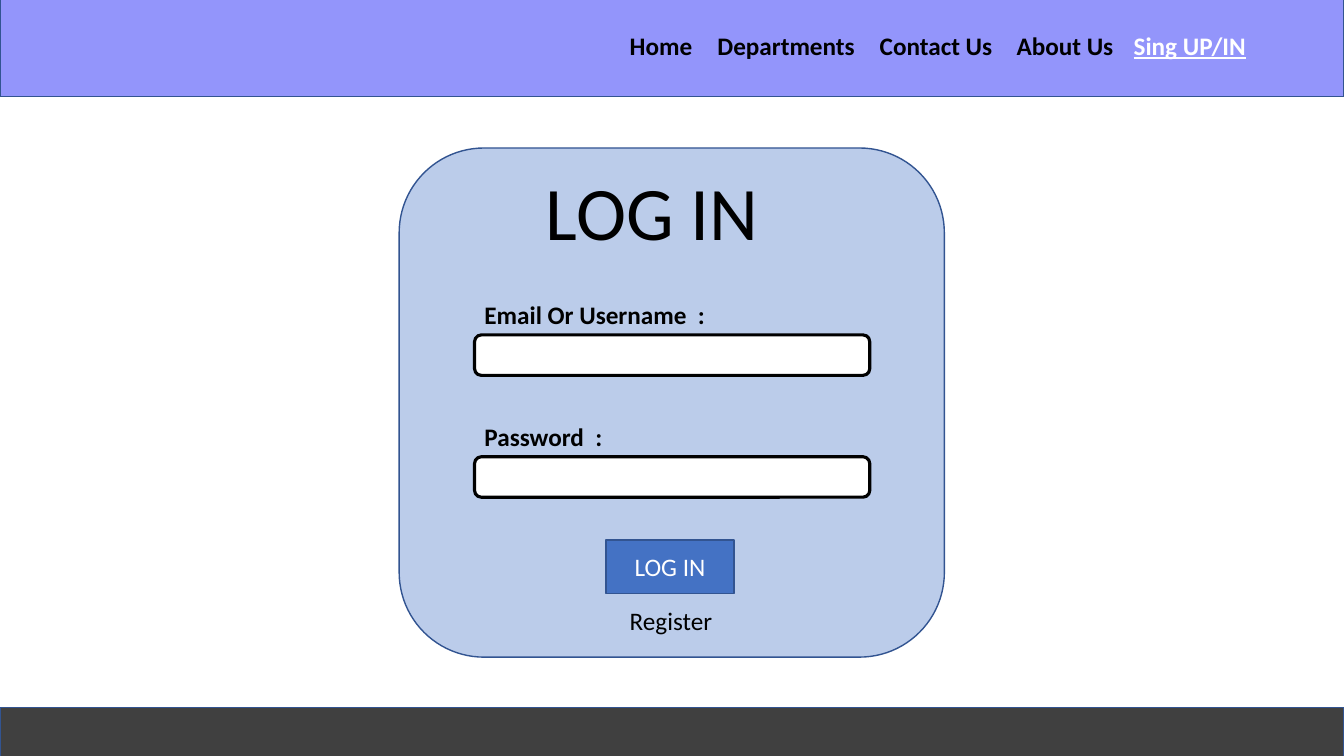
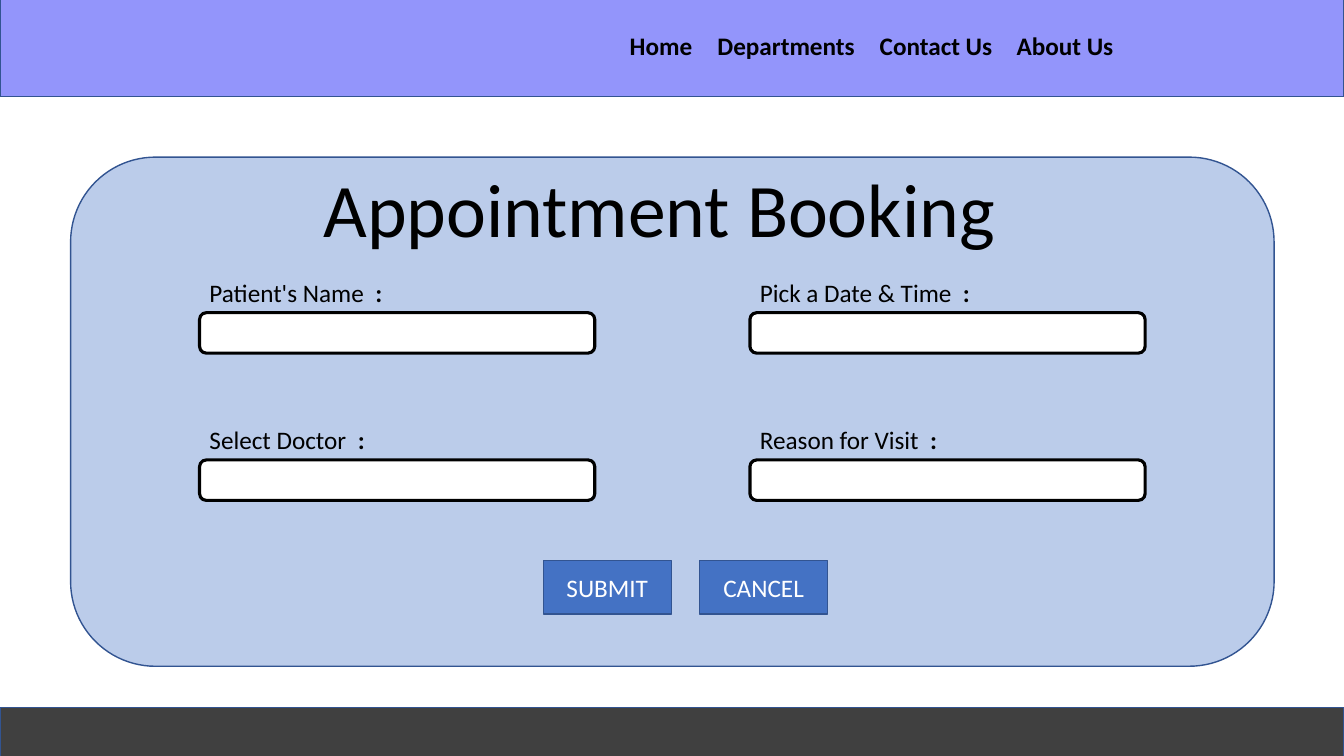
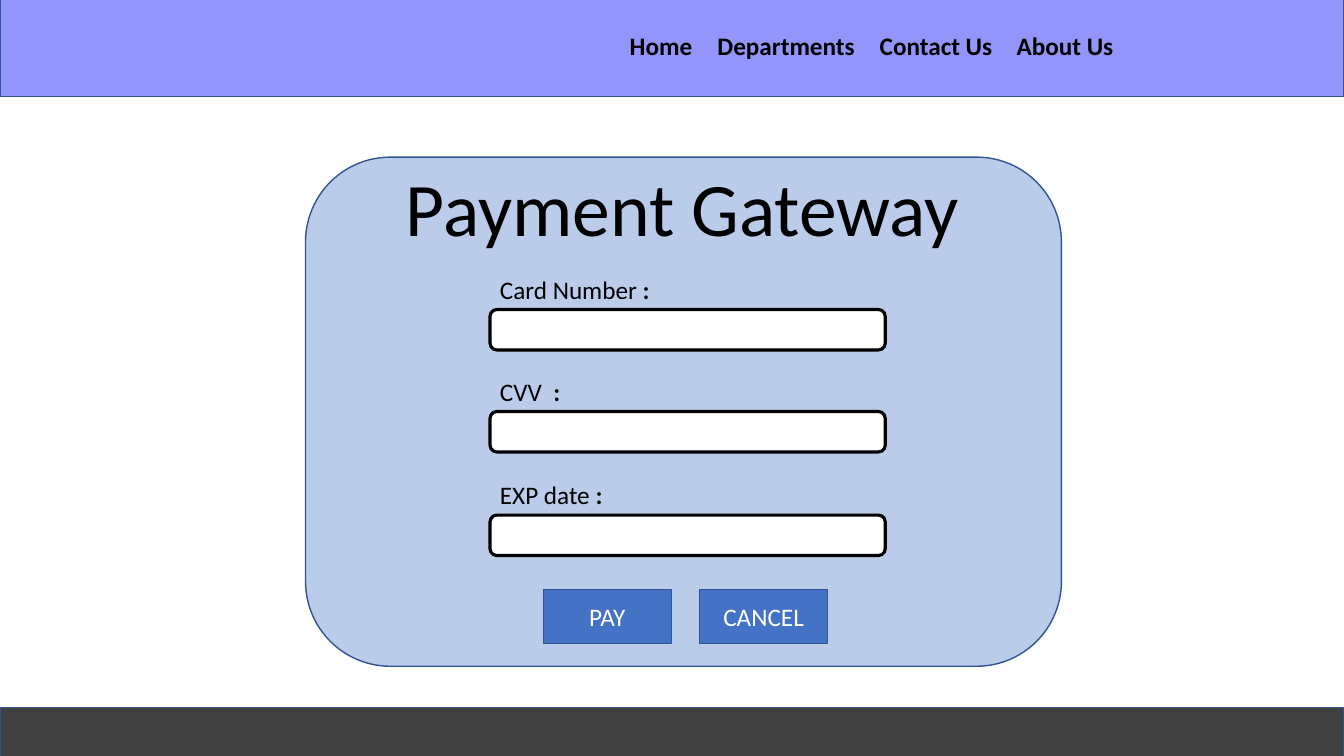
import pptx
import pptx.util
import pptx.dml.color
import pptx.enum.shapes
import pptx.enum.text
import pptx.oxml
import pptx.oxml.ns

Cm = pptx.util.Cm
RGBColor = pptx.dml.color.RGBColor
KIND = pptx.enum.shapes.MSO_SHAPE
ALIGN = pptx.enum.text.PP_ALIGN

# Shared look
LILAC = RGBColor(0x93, 0x95, 0xFB)
SKY = RGBColor(0x8F, 0xAA, 0xDC)
BLUE = RGBColor(0x44, 0x72, 0xC4)
NAVY = RGBColor(0x32, 0x54, 0x91)
GREY = RGBColor(0x40, 0x40, 0x40)
BLACK = RGBColor(0, 0, 0)
WHITE = RGBColor(0xFF, 0xFF, 0xFF)
FONT = "Calibri"
WIDE, TALL = 33.87, 19.05
ROW = 1.02                      # height of a text line or input field
FIELD, LABEL = 9.96, 6.27       # widths
BTN_W, BTN_H, STEP = 3.23, 1.35, 3.94

MENU = [("Home", 2.21), ("Departments", 4.09), ("Contact Us", 3.45),
        ("About Us", 2.95)]

# Fields are (left, top of label, label, bold ending)
PAGES = [
    dict(title="LOG IN", head=(13.51, 4.04, 6.83), card=(10.06, 3.73, 13.74),
         fields=[(11.96, 7.42, "", "Email Or Username  :"),
                 (11.96, 10.49, "", "Password  :")],
         keys=["LOG IN"], spot=(15.27, 13.61), login=True),
    dict(title="Appointment Booking", head=(7.9, 3.96, 17.65),
         card=(1.78, 3.96, 30.33),
         fields=[(5.03, 6.86, "Patient's Name", "  :"),
                 (18.9, 6.86, "Pick a Date & Time  ", ":"),
                 (5.03, 10.57, "Select Doctor  ", ":"),
                 (18.9, 10.57, "Reason for Visit  ", ":")],
         keys=["SUBMIT", "CANCEL"], spot=(13.69, 14.12), login=False),
    dict(title="Payment Gateway", head=(9.98, 3.94, 14.71),
         card=(7.7, 3.96, 19.05),
         fields=[(12.35, 6.78, "Card Number ", ":"),
                 (12.35, 9.35, "CVV  ", ":"),
                 (12.35, 11.96, "EXP date ", ":")],
         keys=["PAY", "CANCEL"], spot=(13.69, 14.86), login=False),
]


def draw(slide, kind, left, top, wide, tall, fill, line=NAVY, thick=1):
    shape = slide.shapes.add_shape(kind, Cm(left), Cm(top), Cm(wide), Cm(tall))
    shape.shadow.inherit = False
    shape.fill.solid()
    shape.fill.fore_color.rgb = fill
    shape.line.color.rgb = line
    shape.line.width = pptx.util.Pt(thick)
    return shape


def write(slide, text, place=None, shape=None, size=18, color=BLACK,
          bold=False, under=False, align=ALIGN.LEFT, tail=""):
    """Write text, then a bold tail, in the shape or in a new box at place."""
    if shape is None:
        shape = slide.shapes.add_textbox(*[Cm(n) for n in place])
    frame = shape.text_frame
    frame.word_wrap = True
    para = frame.paragraphs[0]
    para.alignment = align
    for part, heavy in ((text, bold), (tail, True)):
        if part:
            run = para.add_run()
            run.text = part
            run.font.name = FONT
            run.font.size = pptx.util.Pt(size)
            run.font.color.rgb = color
            run.font.bold = heavy
            run.font.underline = under


deck = pptx.Presentation()
deck.slide_width, deck.slide_height = Cm(WIDE), Cm(TALL)

for page in PAGES:
    slide = deck.slides.add_slide(deck.slide_layouts[6])

    # Top band with menu, and bottom band
    draw(slide, KIND.RECTANGLE, 0, -0.08, WIDE, 2.51, LILAC)
    draw(slide, KIND.RECTANGLE, 0, 17.83, WIDE, 1.73, GREY)
    left = 15.62
    for name, wide in MENU:
        write(slide, name, (left, 0.64, wide, ROW), bold=True)
        left += wide
    if page["login"]:
        write(slide, "Sing UP/IN", (left, 0.64, 3.63, ROW), color=WHITE,
              bold=True, under=True)

    # See-through card with title
    card = draw(slide, KIND.ROUNDED_RECTANGLE, *page["card"], 12.83, SKY)
    tint = card.fill._xPr.find(".//" + pptx.oxml.ns.qn("a:srgbClr"))
    tint.append(pptx.oxml.parse_xml(
        "<a:alpha %s val='60000'/>" % pptx.oxml.ns.nsdecls("a")))
    write(slide, page["title"], (*page["head"], 2.57), size=54)

    # Labels over input fields
    for left, top, label, tail in page["fields"]:
        write(slide, label, (left, top, LABEL, ROW), tail=tail)
        draw(slide, KIND.ROUNDED_RECTANGLE, left, top + ROW, FIELD, ROW,
             WHITE, line=BLACK, thick=2.25)

    # Buttons
    left, top = page["spot"]
    for i, key in enumerate(page["keys"]):
        button = draw(slide, KIND.RECTANGLE, left + i * STEP, top,
                      BTN_W, BTN_H, BLUE)
        write(slide, key, shape=button, color=WHITE, align=ALIGN.CENTER)
    if page["login"]:
        write(slide, "Register", (15.62, 15.14, 2.59, ROW))

deck.save("out.pptx")
